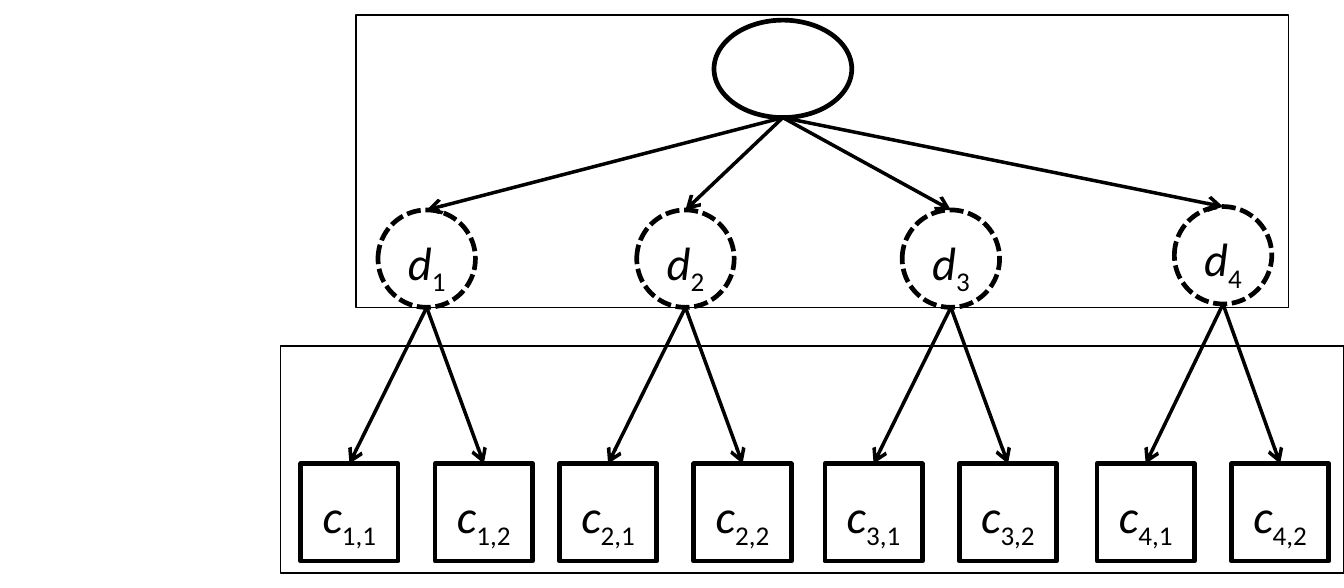
from pptx import Presentation
from pptx.dml.color import RGBColor
from pptx.enum.dml import MSO_LINE
from pptx.enum.shapes import MSO_CONNECTOR, MSO_SHAPE
from pptx.enum.text import MSO_AUTO_SIZE, PP_ALIGN
from pptx.oxml.ns import qn
from pptx.util import Inches, Pt
from lxml.etree import SubElement

BLACK = RGBColor(0x00, 0x00, 0x00)
FONT = "Calibri"

NODE = 0.58             # side of a leaf square, diameter of a child circle
LABEL_DROP = 0.09       # from the top of a node to the top of its label
LABEL_HEIGHT = 0.44
ROOT_X, ROOT_TOP, ROOT_WIDTH = 4.66, 0.12, 0.82
LEAF_TOP = 2.76
LEAF_OFFSETS = (-0.46, 0.34)    # leaf centres relative to their parent
CHILDREN = [(2.54, 1.25), (4.08, 1.25), (5.66, 1.25), (7.28, 1.23)]  # centre x, top


def add_outline(slide, preset, left, top, width, height, weight=2, dash=None):
    outline = slide.shapes.add_shape(
        preset, Inches(left), Inches(top), Inches(width), Inches(height))
    outline.shadow.inherit = False
    outline.fill.background()
    outline.line.color.rgb = BLACK
    outline.line.width = Pt(weight)
    if dash:
        outline.line.dash_style = dash


def add_label(slide, center_x, top, width, letter, index):
    label = slide.shapes.add_textbox(
        Inches(center_x - width / 2), Inches(top), Inches(width), Inches(LABEL_HEIGHT))
    frame = label.text_frame
    frame.word_wrap = True
    frame.auto_size = MSO_AUTO_SIZE.SHAPE_TO_FIT_TEXT
    paragraph = frame.paragraphs[0]
    paragraph.alignment = PP_ALIGN.CENTER
    paragraph.font.name = FONT
    paragraph.font.size = Pt(20)
    paragraph.font.color.rgb = BLACK
    symbol = paragraph.add_run()
    symbol.text = letter
    symbol.font.italic = True
    subscript = paragraph.add_run()
    subscript.text = index
    subscript.font._element.set("baseline", "-25000")


def add_arrow(slide, x1, y1, x2, y2):
    arrow = slide.shapes.add_connector(
        MSO_CONNECTOR.STRAIGHT, Inches(x1), Inches(y1), Inches(x2), Inches(y2))
    arrow.line.color.rgb = BLACK
    arrow.line.width = Pt(1.5)
    SubElement(arrow.line._get_or_add_ln(), qn("a:tailEnd"), type="arrow")
    SubElement(arrow._element.spPr, qn("a:effectLst"))


def add_node(slide, preset, center_x, top, label_width, letter, index, dash=None):
    add_outline(slide, preset, center_x - NODE / 2, top, NODE, NODE, dash=dash)
    add_label(slide, center_x, top + LABEL_DROP, label_width, letter, index)


def main():
    prs = Presentation()
    prs.slide_width, prs.slide_height = Inches(8), Inches(3.5)
    slide = prs.slides.add_slide(prs.slide_layouts[6])

    # Root
    add_outline(slide, MSO_SHAPE.OVAL, ROOT_X - ROOT_WIDTH / 2, ROOT_TOP, ROOT_WIDTH, NODE)

    # Children, each with its two leaves
    for i, (child_x, child_top) in enumerate(CHILDREN, start=1):
        add_node(slide, MSO_SHAPE.OVAL, child_x, child_top, 1.08, "d", str(i),
                 MSO_LINE.SQUARE_DOT)
        add_arrow(slide, ROOT_X, ROOT_TOP + NODE, child_x, child_top)
        for j, offset in enumerate(LEAF_OFFSETS, start=1):
            leaf_x = child_x + offset
            add_node(slide, MSO_SHAPE.RECTANGLE, leaf_x, LEAF_TOP, 0.67, "c", f"{i},{j}")
            add_arrow(slide, child_x, child_top + NODE, leaf_x, LEAF_TOP)

    # Frames around the two levels
    add_outline(slide, MSO_SHAPE.RECTANGLE, 2.12, 0.09, 5.55, 1.74, weight=0.75)
    add_outline(slide, MSO_SHAPE.RECTANGLE, 1.67, 2.06, 6.33, 1.35, weight=0.75)

    prs.save("out.pptx")


main()
